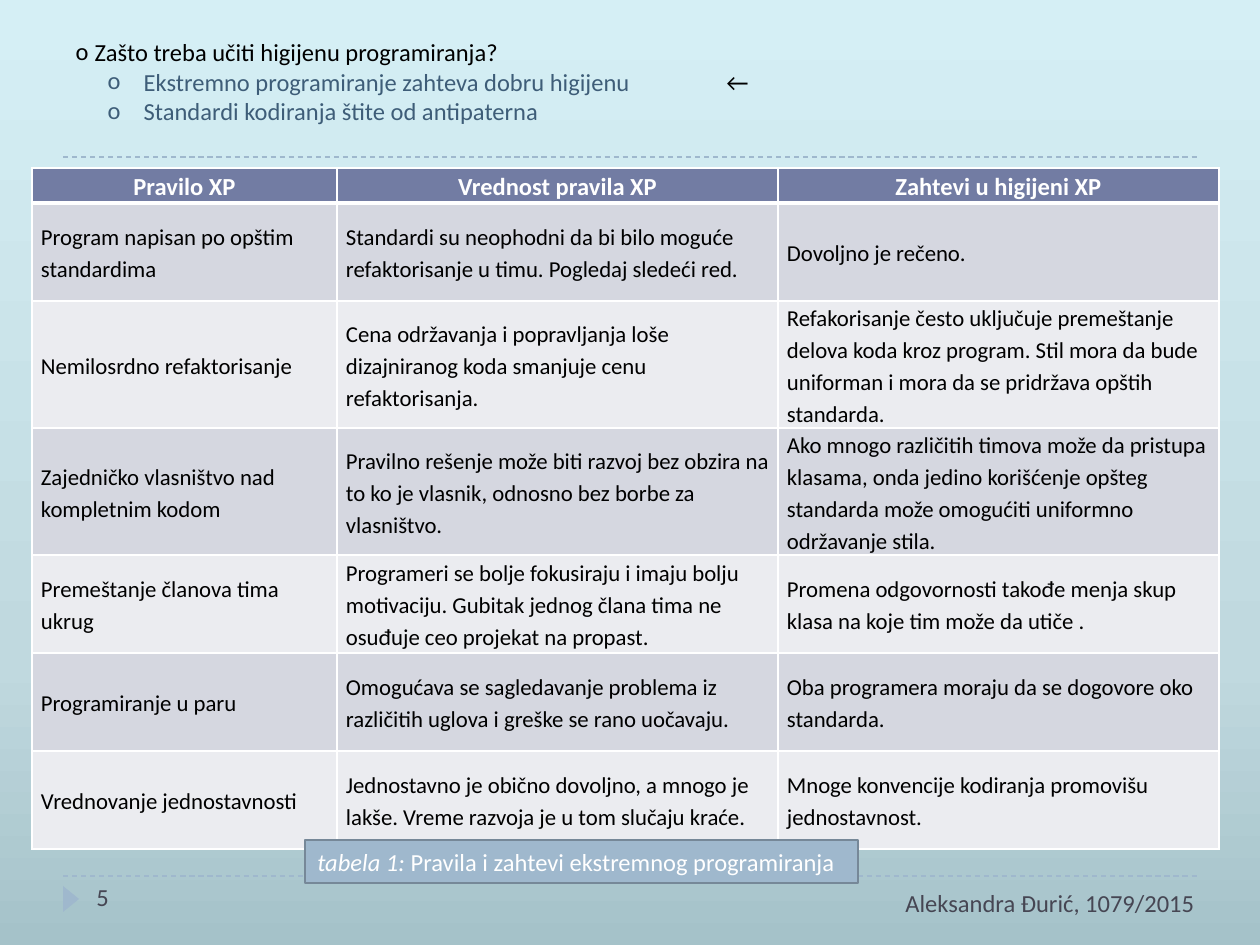
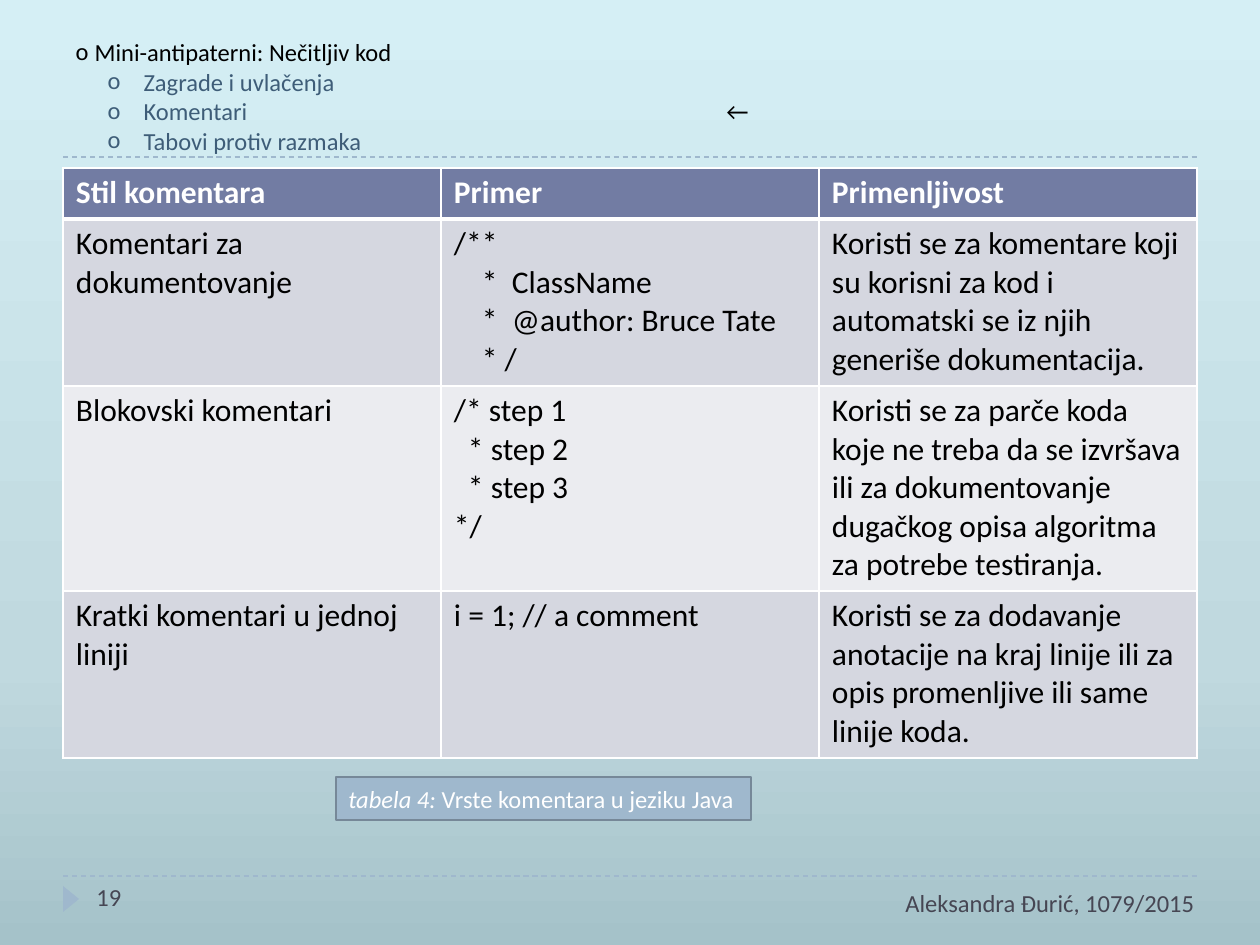
"""Builds two table slides on programming hygiene with a shared outline, caption and footer."""
from copy import deepcopy
from dataclasses import dataclass

from lxml import etree
from pptx import Presentation
from pptx.dml.color import RGBColor
from pptx.enum.dml import MSO_LINE
from pptx.enum.shapes import MSO_CONNECTOR, MSO_SHAPE
from pptx.enum.text import MSO_ANCHOR, MSO_AUTO_SIZE, PP_ALIGN
from pptx.oxml.ns import qn
from pptx.util import Emu, Pt

LEFT, CENTER, RIGHT = PP_ALIGN.LEFT, PP_ALIGN.CENTER, PP_ALIGN.RIGHT
TOP, MIDDLE = MSO_ANCHOR.TOP, MSO_ANCHOR.MIDDLE
TITLE_ONLY = 5
EMU_PER_PIXEL = 914400 / 126


@dataclass(frozen=True)
class Theme:
    font: str = "Calibri"
    small: int = 13
    normal: int = 14
    large: int = 18
    black: str = "000000"
    white: str = "FFFFFF"
    accent: str = "9FB8CD"
    accent_edge: str = "768898"
    outline: str = "3E5D78"
    footer: str = "464653"
    header: str = "727CA3"
    bands: tuple = ("D5D7E0", "EBECF0")
    gradient: tuple = ((0, "A5C2C9"), (0.3, "C0D9DF"), (1, "D5EFF5"))


THEME = Theme()


def px(length):
    return Emu(round(length * EMU_PER_PIXEL))


def rgb(code):
    return RGBColor.from_string(code)


def next_para(frame, index):
    return frame.add_paragraph() if index else frame.paragraphs[0]


def write(para, text, *, size=THEME.normal, color=THEME.black, bold=False, italic=False,
          align=LEFT, spacing=None, margin=0, hang=0, bullet=None):
    """Add one formatted span to a paragraph."""
    para.alignment = align
    if spacing:
        para.line_spacing = spacing
    properties = para._p.get_or_add_pPr()
    properties.set("marL", str(px(margin)))
    properties.set("indent", str(px(-hang)))
    if bullet:
        etree.SubElement(properties, qn("a:buFont"), typeface=THEME.font)
        etree.SubElement(properties, qn("a:buChar"), char=bullet)
    span = para.add_run()
    span.text = text
    font = span.font
    font.name, font.size, font.bold, font.italic = THEME.font, Pt(size), bold, italic
    font.color.rgb = rgb(color)


def set_borders(cell, **widths):
    """Give the cell white borders, one width in points for each side."""
    properties = cell._tc.get_or_add_tcPr()
    for side in "LRTB":
        line = etree.SubElement(properties, qn(f"a:ln{side}"), w=str(Pt(widths.get(side, 1))))
        fill = etree.SubElement(line, qn("a:solidFill"))
        etree.SubElement(fill, qn("a:srgbClr"), val=THEME.white)


class Builder:
    """Holds the deck, its style and the current page."""

    def __init__(self, theme):
        self.theme = theme
        self.deck = Presentation()
        self.deck.slide_width, self.deck.slide_height = px(1260), px(945)
        self.layout = self.deck.slide_layouts[TITLE_ONLY]
        self.page = None
        self.paint_background()

    def paint_background(self):
        fill = self.layout.background.fill
        fill.gradient()
        fill.gradient_angle = 90
        stops = next(self.layout._element.iter(qn("a:gsLst")))
        stops.append(deepcopy(stops[-1]))
        for stop, (position, color) in zip(fill.gradient_stops, self.theme.gradient):
            stop.position = position
            stop.color.rgb = rgb(color)

    def start_page(self, number):
        self.page = self.deck.slides.add_slide(self.layout)
        for y in (157, 876):
            self.rule(y)
        marker = self.shape(MSO_SHAPE.ISOSCELES_TRIANGLE, 58, 891, 26, 16)
        marker.rotation = 90
        self.text(724, 882, 483, 63, "Aleksandra Đurić, 1079/2015",
                  color=self.theme.footer, align=RIGHT)
        self.text(84, 876, 273, 50, str(number), color=self.theme.footer)

    def rule(self, y):
        rule = self.page.shapes.add_connector(
            MSO_CONNECTOR.STRAIGHT, px(63), px(y), px(1197), px(y))
        rule.line.color.rgb = rgb(self.theme.accent)
        rule.line.width = Pt(0.75)
        rule.line.dash_style = MSO_LINE.DASH
        etree.SubElement(rule._element.spPr, qn("a:effectLst"))

    def shape(self, kind, x, y, width, height, edge=None):
        shape = self.page.shapes.add_shape(kind, px(x), px(y), px(width), px(height))
        shape.shadow.inherit = False
        shape.fill.solid()
        shape.fill.fore_color.rgb = rgb(self.theme.accent)
        if edge:
            shape.line.color.rgb = rgb(edge)
            shape.line.width = Pt(1.5)
        else:
            shape.line.fill.background()
        return shape

    def text(self, x, y, width, height, text, **style):
        box = self.page.shapes.add_textbox(px(x), px(y), px(width), px(height))
        box.text_frame.word_wrap = True
        write(box.text_frame.paragraphs[0], text, **style)

    def outline(self, heading, items, current):
        """Fill the title with the outline and point an arrow at the current line."""
        title = self.page.shapes.title
        title.left, title.top, title.width, title.height = px(63), px(31), px(600), px(131)
        frame = title.text_frame
        frame.word_wrap = True
        frame.auto_size = MSO_AUTO_SIZE.NONE
        frame.vertical_anchor = TOP
        write(frame.paragraphs[0], heading, margin=19, hang=19, bullet="o")
        for item in items:
            write(frame.add_paragraph(), item, color=self.theme.outline,
                  margin=68, hang=36, bullet="o")
        self.text(714, 31 + 29.5 * current, 100, 43, "←")

    def caption(self, x, y, width, label, text):
        box = self.shape(MSO_SHAPE.RECTANGLE, x, y, width, 43, self.theme.accent_edge)
        frame = box.text_frame
        frame.word_wrap = True
        frame.vertical_anchor = MIDDLE
        para = frame.paragraphs[0]
        write(para, label + " ", color=self.theme.white, italic=True)
        write(para, text, color=self.theme.white)

    def table(self, x, y, columns, heights, rows, *, head_size, body_size,
              head_align=LEFT, anchor=TOP, spacing=None, inset=(13, 6)):
        table = self.page.shapes.add_table(
            len(rows), len(columns), px(x), px(y), px(sum(columns)), px(sum(heights))).table
        for column, width in zip(table.columns, columns):
            column.width = px(width)
        for row, height in zip(table.rows, heights):
            row.height = px(height)
        head = dict(size=head_size, color=self.theme.white, bold=True, align=head_align)
        body = dict(size=body_size)
        for index, texts in enumerate(rows):
            is_head = index == 0
            fill = self.theme.header if is_head else self.theme.bands[(index - 1) % 2]
            for cell, text in zip(table.rows[index].cells, texts):
                set_borders(cell, T=3 if index == 1 else 1, B=3 if is_head else 1)
                cell.fill.solid()
                cell.fill.fore_color.rgb = rgb(fill)
                cell.margin_left = cell.margin_right = px(inset[0])
                cell.margin_top = cell.margin_bottom = px(inset[1])
                cell.vertical_anchor = TOP if is_head else anchor
                self.fill_cell(cell, text, spacing=spacing, **(head if is_head else body))

    def fill_cell(self, cell, text, **style):
        """Write each line as a paragraph, turning leading spaces into a margin."""
        for index, line in enumerate(text.split("\n")):
            code = line.lstrip()
            margin = 7 * (len(line) - len(code))
            write(next_para(cell.text_frame, index), code, margin=margin, **style)


XP_RULES = [
    ("Pravilo XP", "Vrednost pravila XP", "Zahtevi u higijeni XP"),
    ("Program napisan po opštim standardima",
     "Standardi su neophodni da bi bilo moguće refaktorisanje u timu. Pogledaj sledeći red.",
     "Dovoljno je rečeno."),
    ("Nemilosrdno refaktorisanje",
     "Cena održavanja i popravljanja loše dizajniranog koda smanjuje cenu refaktorisanja.",
     "Refakorisanje često uključuje premeštanje delova koda kroz program. "
     "Stil mora da bude uniforman i mora da se pridržava opštih standarda."),
    ("Zajedničko vlasništvo nad kompletnim kodom",
     "Pravilno rešenje može biti razvoj bez obzira na to ko je vlasnik, "
     "odnosno bez borbe za vlasništvo.",
     "Ako mnogo različitih timova može da pristupa klasama, onda jedino korišćenje "
     "opšteg standarda može omogućiti uniformno održavanje stila."),
    ("Premeštanje članova tima ukrug",
     "Programeri se bolje fokusiraju i imaju bolju motivaciju. "
     "Gubitak jednog člana tima ne osuđuje ceo projekat na propast.",
     "Promena odgovornosti takođe menja skup klasa na koje tim može da utiče ."),
    ("Programiranje u paru",
     "Omogućava se sagledavanje problema iz različitih uglova i greške se rano uočavaju.",
     "Oba programera moraju da se dogovore oko standarda."),
    ("Vrednovanje jednostavnosti",
     "Jednostavno je obično dovoljno, a mnogo je lakše. "
     "Vreme razvoja je u tom slučaju kraće.",
     "Mnoge konvencije kodiranja promovišu jednostavnost."),
]

COMMENT_STYLES = [
    ("Stil komentara", "Primer", "Primenljivost"),
    ("Komentari za dokumentovanje",
     "/**\n    *  ClassName\n    *  @author: Bruce Tate\n    * /",
     "Koristi se za komentare koji su korisni za kod i automatski se iz njih "
     "generiše dokumentacija."),
    ("Blokovski komentari",
     "/* step 1\n  * step 2\n  * step 3\n*/",
     "Koristi se za parče koda koje ne treba da se izvršava ili za dokumentovanje "
     "dugačkog opisa algoritma za potrebe testiranja."),
    ("Kratki komentari u jednoj liniji",
     "i = 1; // a comment",
     "Koristi se za dodavanje anotacije na kraj linije ili za opis promenljive "
     "ili same linije koda."),
]


def main():
    """Build both pages and save the deck."""
    builder = Builder(THEME)

    builder.start_page(5)
    builder.outline("Zašto treba učiti higijenu programiranja?",
                    ["Ekstremno programiranje zahteva dobru higijenu",
                     "Standardi kodiranja štite od antipaterna"], current=1)
    builder.table(32, 168, [305, 441, 441], [35, 98, 127, 127, 98, 98, 98], XP_RULES,
                  head_size=THEME.normal, body_size=THEME.small, head_align=CENTER,
                  anchor=MIDDLE, spacing=1.15, inset=(9, 0))
    builder.caption(305, 840, 553, "tabela 1:", "Pravila i zahtevi ekstremnog programiranja")

    builder.start_page(19)
    builder.outline("Mini-antipaterni: Nečitljiv kod",
                    ["Zagrade i uvlačenja", "Komentari", "Tabovi protiv razmaka"], current=2)
    builder.table(63, 168, [378] * 3, [51, 167, 205, 167], COMMENT_STYLES,
                  head_size=THEME.large, body_size=THEME.large)
    builder.caption(336, 777, 415, "tabela 4:", "Vrste komentara u jeziku Java")

    builder.deck.save("out.pptx")


main()
